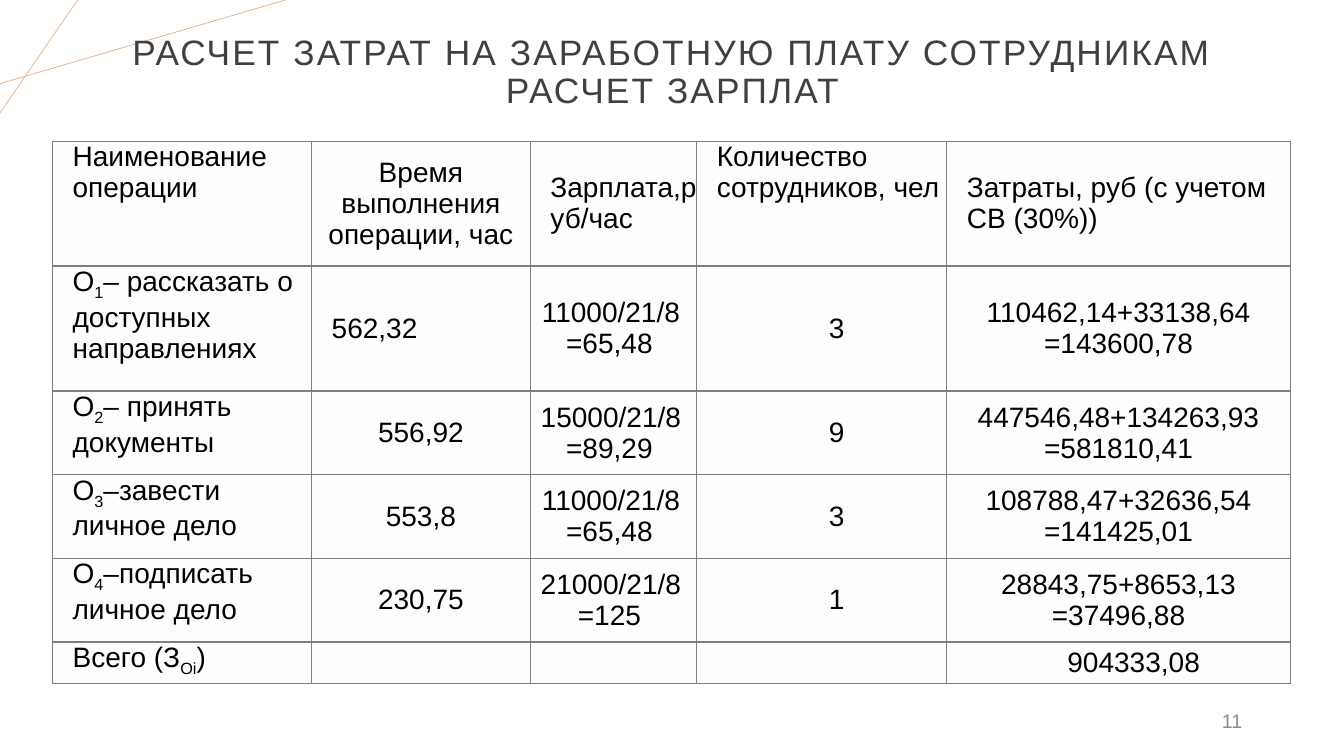
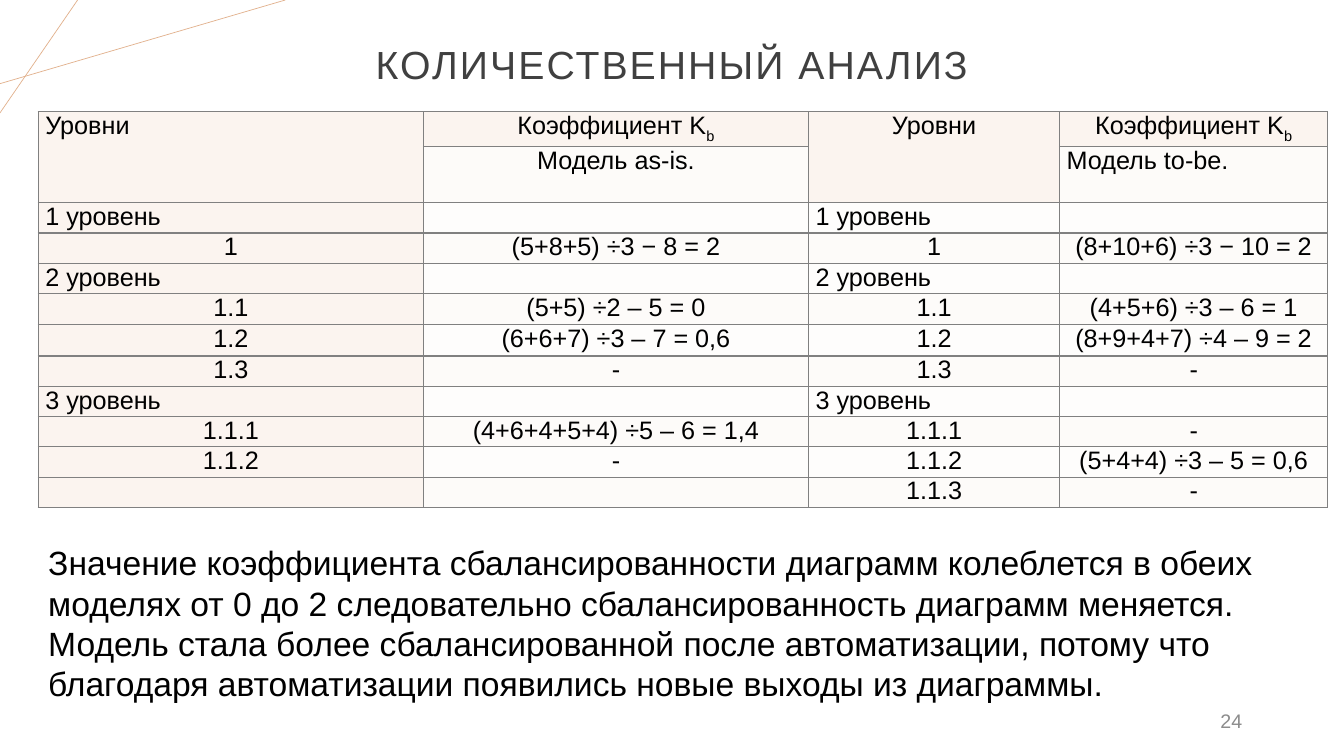
from dataclasses import dataclass

from lxml import etree
from pptx import Presentation
from pptx.dml.color import RGBColor
from pptx.enum.shapes import MSO_CONNECTOR
from pptx.enum.text import MSO_ANCHOR, MSO_AUTO_SIZE, PP_ALIGN
from pptx.oxml.ns import qn
from pptx.util import Inches, Pt

LEFT, CENTER, RIGHT = PP_ALIGN.LEFT, PP_ALIGN.CENTER, PP_ALIGN.RIGHT
TOP, MIDDLE = MSO_ANCHOR.TOP, MSO_ANCHOR.MIDDLE
STRAIGHT = MSO_CONNECTOR.STRAIGHT
NO_AUTOFIT = MSO_AUTO_SIZE.NONE

FONT = "Arial"
COLORS = {
    "accent": "E2B18D",
    "title": "404040",
    "number": "8C8C8C",
    "text": "000000",
    "border": "808080",
    "header": "FBF4EF",
    "band": "FDFBF9",
    "plain": "FEFDFC",
}
TITLE_ONLY = 5
CORNER_LINES = [(0, 0.83, 2.83, 0), (0.77, 0, 0, 1.12)]


@dataclass(frozen=True)
class Box:
    left: float
    top: float
    width: float
    height: float

    def lengths(self) -> list:
        return [Inches(v) for v in (self.left, self.top, self.width, self.height)]


@dataclass(frozen=True)
class Style:
    size: float
    color: str = "text"
    spacing: int = 0


@dataclass(frozen=True)
class Layout:
    """Alignment, anchor and paragraph indents of a cell, in inches."""
    align: PP_ALIGN = LEFT
    anchor: MSO_ANCHOR = TOP
    left: float = 0
    first: float = 0
    right: float = 0


@dataclass(frozen=True)
class Cell:
    text: str
    layout: Layout
    fill: str


@dataclass(frozen=True)
class Grid:
    box: Box
    cols: list
    rows: list
    cells: list
    size: float
    side_margin: float = 0
    merges: tuple = ()


NUMBER_BOX = Box(9.42, 6.95, 3, 0.4)
NUMBER_STYLE = Style(14, "number")

INDENTED = Layout(left=0.2)
INDENTED_MIDDLE = Layout(anchor=MIDDLE, left=0.2)
CENTERED = Layout(CENTER, MIDDLE)
SHIFTED = Layout(CENTER, MIDDLE, first=0.3)
RATE = Layout(CENTER, MIDDLE, first=0.03, right=0.08)

COST_HEADER = [INDENTED, CENTERED, INDENTED_MIDDLE, INDENTED, INDENTED_MIDDLE]
COST_BODY = [INDENTED, CENTERED, RATE, SHIFTED, CENTERED]
COST_EXCEPTIONS = {(1, 1): INDENTED_MIDDLE, (5, 4): SHIFTED}
# Text between tildes is subscript.
COSTS = [
    ("Наименование операции", "Время выполнения операции, час", "Зарплата,руб/час",
     "Количество сотрудников, чел", "Затраты, руб (с учетом СВ (30%))"),
    ("О~1~– рассказать о доступных направлениях", "562,32", "11000/21/8\n=65,48",
     "3", "110462,14+33138,64\n=143600,78"),
    ("О~2~– принять документы", "556,92", "15000/21/8\n=89,29",
     "9", "447546,48+134263,93\n=581810,41"),
    ("О~3~–завести личное дело", "553,8", "11000/21/8\n=65,48",
     "3", "108788,47+32636,54\n=141425,01"),
    ("О~4~–подписать личное дело", "230,75", "21000/21/8\n=125",
     "1", "28843,75+8653,13\n=37496,88"),
    ("Всего (З~Oi~)", "", "", "", "904333,08"),
]

LEVEL_LEFT = {(0, 0), (1, 3)}
LEVELS = [
    ("Уровни", "Коэффициент K~b~", "Уровни", "Коэффициент K~b~"),
    ("", "Модель as-is.", "", "Модель to-be."),
    ("1 уровень", "", "1 уровень", ""),
    ("1", "(5+8+5) ÷3 − 8 = 2", "1", "(8+10+6) ÷3 − 10 = 2"),
    ("2 уровень", "", "2 уровень", ""),
    ("1.1", "(5+5) ÷2 – 5 = 0", "1.1", "(4+5+6) ÷3 – 6 = 1"),
    ("1.2", "(6+6+7) ÷3 – 7 = 0,6", "1.2", "(8+9+4+7) ÷4 – 9 = 2"),
    ("1.3", "-", "1.3", "-"),
    ("3 уровень", "", "3 уровень", ""),
    ("1.1.1", "(4+6+4+5+4) ÷5 – 6 = 1,4", "1.1.1", "-"),
    ("1.1.2", "-", "1.1.2", "(5+4+4) ÷3 – 5 = 0,6"),
    ("", "", "1.1.3", "-"),
]
CONCLUSION = (
    "Значение коэффициента сбалансированности диаграмм колеблется в обеих моделях "
    "от 0 до 2 следовательно сбалансированность диаграмм меняется. Модель стала более "
    "сбалансированной после автоматизации, потому что благодаря автоматизации "
    "появились новые выходы из диаграммы."
)


def rgb(name: str) -> RGBColor:
    return RGBColor.from_string(COLORS[name])


def add_text(p, text: str, style: Style) -> None:
    """Add runs; tildes enclose subscripts, newlines become line breaks."""
    for i, part in enumerate(text.split("~")):
        for j, line in enumerate(part.split("\n")):
            if j:
                p.add_line_break()
            if not line:
                continue
            r = p.add_run()
            r.text = line
            r.font.name, r.font.size = FONT, Pt(style.size)
            r.font.color.rgb = rgb(style.color)
            rPr = r._r.get_or_add_rPr()
            if i % 2:
                rPr.set("baseline", "-25000")
            if style.spacing:
                rPr.set("spc", str(style.spacing))


def add_corner_lines(prs, s) -> None:
    """Draw the corner lines and move them to the slide master."""
    tree = s.slide_layout.slide_master.element.cSld.spTree
    for i, ends in enumerate(CORNER_LINES):
        line = s.shapes.add_connector(STRAIGHT, *[Inches(v) for v in ends])
        line.line.color.rgb = rgb("accent")
        line.line.width = Pt(0.5)
        etree.SubElement(line.element.spPr, qn("a:effectLst"))
        line.element.nvCxnSpPr.cNvPr.set("id", str(100 + i))
        tree.append(line.element)


def add_text_box(s, box: Box, text: str, style: Style, layout: Layout) -> None:
    tf = s.shapes.add_textbox(*box.lengths()).text_frame
    tf.word_wrap = True
    tf.vertical_anchor = layout.anchor
    p = tf.paragraphs[0]
    p.alignment = layout.align
    add_text(p, text, style)


def add_slide(prs, title: str, box: Box, size: float, number: str):
    s = prs.slides.add_slide(prs.slide_layouts[TITLE_ONLY])
    sp = s.shapes.title
    sp.left, sp.top, sp.width, sp.height = box.lengths()
    tf = sp.text_frame
    tf.word_wrap = True
    tf.auto_size = NO_AUTOFIT
    tf.vertical_anchor = MIDDLE
    p = tf.paragraphs[0]
    p.alignment, p.line_spacing = CENTER, 0.9
    add_text(p, title, Style(size, "title", 150))
    add_text_box(s, NUMBER_BOX, number, NUMBER_STYLE, Layout(RIGHT, MIDDLE))
    return s


def add_borders(cell) -> None:
    tcPr = cell._tc.get_or_add_tcPr()
    for i, side in enumerate(("lnL", "lnR", "lnT", "lnB")):
        ln = etree.Element(qn(f"a:{side}"), w=str(Pt(1)))
        fill = etree.SubElement(ln, qn("a:solidFill"))
        etree.SubElement(fill, qn("a:srgbClr"), val=COLORS["border"])
        tcPr.insert(i, ln)


def fill_cell(cell, content: Cell, size: float, side_margin: float) -> None:
    layout = content.layout
    cell.margin_top = cell.margin_bottom = 0
    cell.margin_left = cell.margin_right = Inches(side_margin)
    cell.vertical_anchor = layout.anchor
    cell.fill.solid()
    cell.fill.fore_color.rgb = rgb(content.fill)
    add_borders(cell)
    p = cell.text_frame.paragraphs[0]
    p.alignment = layout.align
    pPr = p._p.get_or_add_pPr()
    for name, value in (("marL", layout.left), ("marR", layout.right), ("indent", layout.first)):
        pPr.set(name, str(Inches(value)))
    add_text(p, content.text, Style(size))


def add_grid(s, grid: Grid) -> None:
    table = s.shapes.add_table(len(grid.rows), len(grid.cols), *grid.box.lengths()).table
    table.first_row = table.horz_banding = False
    for col, width in zip(table.columns, grid.cols):
        col.width = Inches(width)
    for row, height in zip(table.rows, grid.rows):
        row.height = Inches(height)
    for i, contents in enumerate(grid.cells):
        for j, content in enumerate(contents):
            fill_cell(table.cell(i, j), content, grid.size, grid.side_margin)
    for first, last in grid.merges:
        table.cell(*first).merge(table.cell(*last))


def cost_cell(i: int, j: int, text: str) -> Cell:
    layouts = COST_BODY if i else COST_HEADER
    return Cell(text, COST_EXCEPTIONS.get((i, j), layouts[j]), "plain")


def level_cell(i: int, j: int, text: str) -> Cell:
    left = text.endswith(" уровень") or (i, j) in LEVEL_LEFT
    fill = "header" if i == 0 or j == 0 else "band" if i % 2 else "plain"
    return Cell(text, Layout(LEFT if left else CENTER), fill)


def make_cells(rows: list, make) -> list:
    return [[make(i, j, text) for j, text in enumerate(row)] for i, row in enumerate(rows)]


def main() -> None:
    prs = Presentation()
    prs.slide_width, prs.slide_height = Inches(13.33), Inches(7.5)

    s = add_slide(prs, "РАСЧЕТ ЗАТРАТ НА ЗАРАБОТНУЮ ПЛАТУ СОТРУДНИКАМ\nРАСЧЕТ ЗАРПЛАТ",
                  Box(0.92, 0.31, 11.5, 0.83), 25.2, "11")
    add_corner_lines(prs, s)
    add_grid(s, Grid(Box(0.52, 1.4, 12.28, 5.38), [2.57, 2.17, 1.65, 2.48, 3.41],
                     [1.24] * 2 + [0.83] * 3 + [0.41], make_cells(COSTS, cost_cell), 20))

    s = add_slide(prs, "КОЛИЧЕСТВЕННЫЙ АНАЛИЗ", Box(2.64, 0.25, 8.05, 0.83), 28, "24")
    add_grid(s, Grid(Box(0.38, 1.11, 12.79, 3.75), [3.82, 3.82, 2.49, 2.66],
                     [0.33, 0.56] + [0.28] * 3 + [0.31] * 2 + [0.28] * 5,
                     make_cells(LEVELS, level_cell), 18, 0.07,
                     (((0, 0), (1, 0)), ((0, 2), (1, 2)))))
    add_text_box(s, Box(0.38, 5.33, 12.78, 1.72), CONCLUSION, Style(24), Layout())

    prs.save("out.pptx")


if __name__ == "__main__":
    main()
